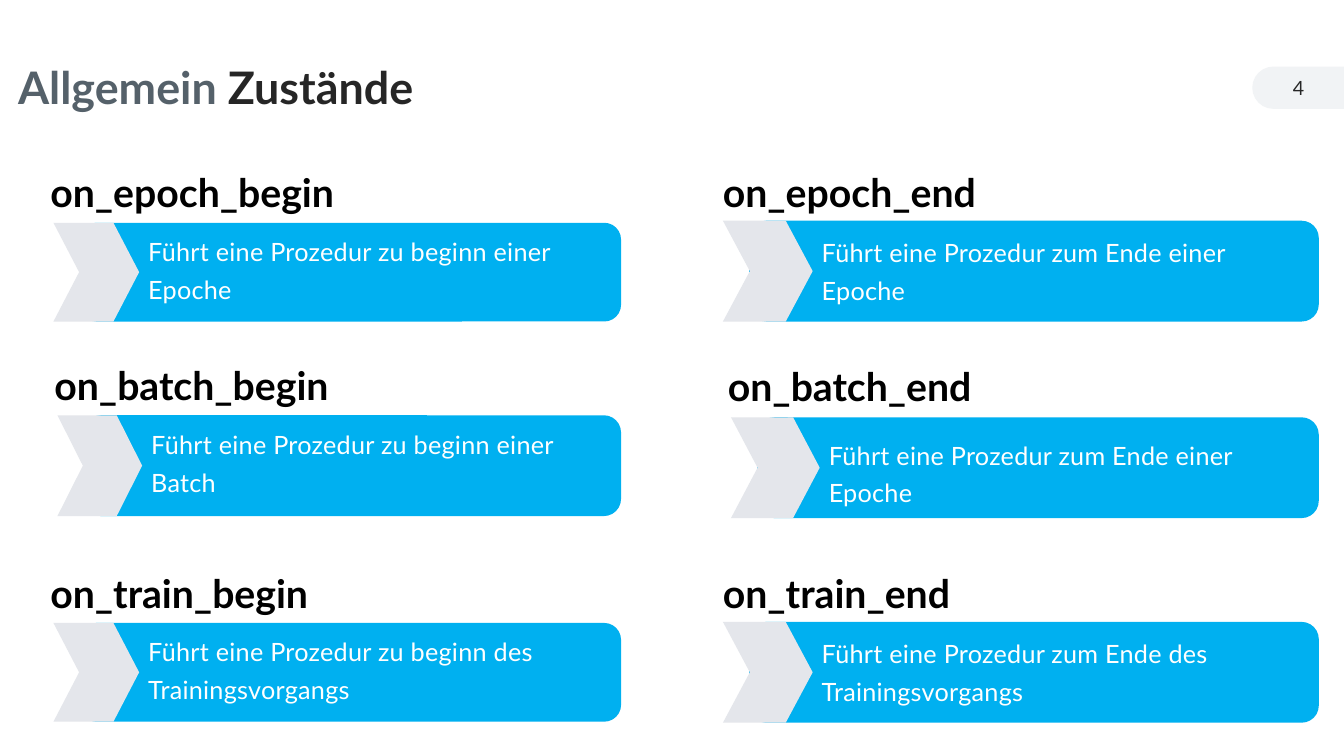
from pptx import Presentation
from pptx.dml.color import RGBColor
from pptx.enum.shapes import MSO_SHAPE as Shape
from pptx.enum.text import MSO_ANCHOR as Anchor, MSO_AUTO_SIZE as AutoSize, PP_ALIGN as Align
from pptx.util import Pt

PX = 9144
COLORS = {
    "slate": "55616A",
    "dark": "262626",
    "black": "000000",
    "white": "FFFFFF",
    "blue": "00B0F0",
    "grey": "E4E6EB",
    "pill": "F1F3F5",
}
FRAME = {"word_wrap": True, "margin_left": 0, "margin_right": 0,
         "margin_top": 5 * PX, "margin_bottom": 5 * PX}
MIDDLE = {"vertical_anchor": Anchor.MIDDLE}
GROW = {"auto_size": AutoSize.SHAPE_TO_FIT_TEXT}
BODY_LINES = {"line_spacing": 1.25}

presentation = Presentation()
presentation.slide_width = 1333 * PX
presentation.slide_height = 750 * PX
slide = presentation.slides.add_slide(presentation.slide_layouts[6])


def add_filled(kind, box, color, adjustment):
    shape = slide.shapes.add_shape(kind, *[round(length * PX) for length in box])
    shape.shadow.inherit = False
    shape.fill.solid()
    shape.fill.fore_color.rgb = RGBColor.from_string(COLORS[color])
    shape.line.fill.background()
    shape.adjustments[0] = adjustment
    return shape


def add_text(box, pieces, size, bold, frame_format, paragraph_format, spacing=0):
    shape = slide.shapes.add_textbox(*[length * PX for length in box])
    frame = shape.text_frame
    for name, value in {**FRAME, **frame_format}.items():
        setattr(frame, name, value)
    paragraph = frame.paragraphs[0]
    for name, value in paragraph_format.items():
        setattr(paragraph, name, value)
    for text, color in pieces:
        run = paragraph.add_run()
        run.text = text
        for name, value in {"name": "Lato", "size": Pt(size), "bold": bold}.items():
            setattr(run.font, name, value)
        run.font.color.rgb = RGBColor.from_string(COLORS[color])
        if spacing:
            run._r.get_or_add_rPr().set("spc", str(spacing))


pill = add_filled(Shape.ROUND_2_SAME_RECTANGLE, (1267, 41, 42, 92), "pill", 0.5)
pill.rotation = 270
add_text((1242, 67, 92, 40), [("4", "dark")], 14, False, MIDDLE,
         {"alignment": Align.CENTER})
add_text((18, 45, 865, 88), [("Allgemein ", "slate"), ("Zustände", "dark")], 32, True,
         MIDDLE, {"line_spacing": 0.9})

BAR_INDENT = 26
STATES = [
    ("on_epoch_begin", (50, 150, 383, 63), (53, 221, 85, 98), 616,
     "Führt eine Prozedur zu beginn einer Epoche", (147, 222, 459, 86)),
    ("on_epoch_end", (717, 150, 383, 69), (717, 219, 89, 100), 1308,
     "Führt eine Prozedur zum Ende einer Epoche", (815, 223, 482, 86)),
    ("on_batch_begin", (54, 342, 383, 63), (57, 412, 84, 100), 616,
     "Führt eine Prozedur zu beginn einer Batch", (150, 414, 455, 86)),
    ("on_batch_end", (722, 343, 383, 63), (725, 414, 88, 100), 1308,
     "Führt eine Prozedur zum Ende einer Epoche", (822, 424, 475, 86)),
    ("on_train_begin", (50, 548, 383, 63), (53, 618, 85, 98), 616,
     "Führt eine Prozedur zu beginn des Trainingsvorgangs", (147, 619, 459, 86)),
    ("on_train_end", (717, 548, 383, 69), (717, 617, 89, 100), 1308,
     "Führt eine Prozedur zum Ende des Trainingsvorgangs", (815, 621, 493, 86)),
]
for heading, heading_box, chevron_box, bar_right, description, description_box in STATES:
    left, top, width, height = chevron_box
    bar_left = left + BAR_INDENT
    add_filled(Shape.ROUNDED_RECTANGLE, (bar_left, top, bar_right - bar_left, height),
               "blue", 0.17)
    add_filled(Shape.CHEVRON, chevron_box, "grey", 0.3)
    add_text(description_box, [(description, "white")], 18, False, GROW, BODY_LINES, 20)
    add_text(heading_box, [(heading, "black")], 28, True, GROW, BODY_LINES)

presentation.save("out.pptx")
